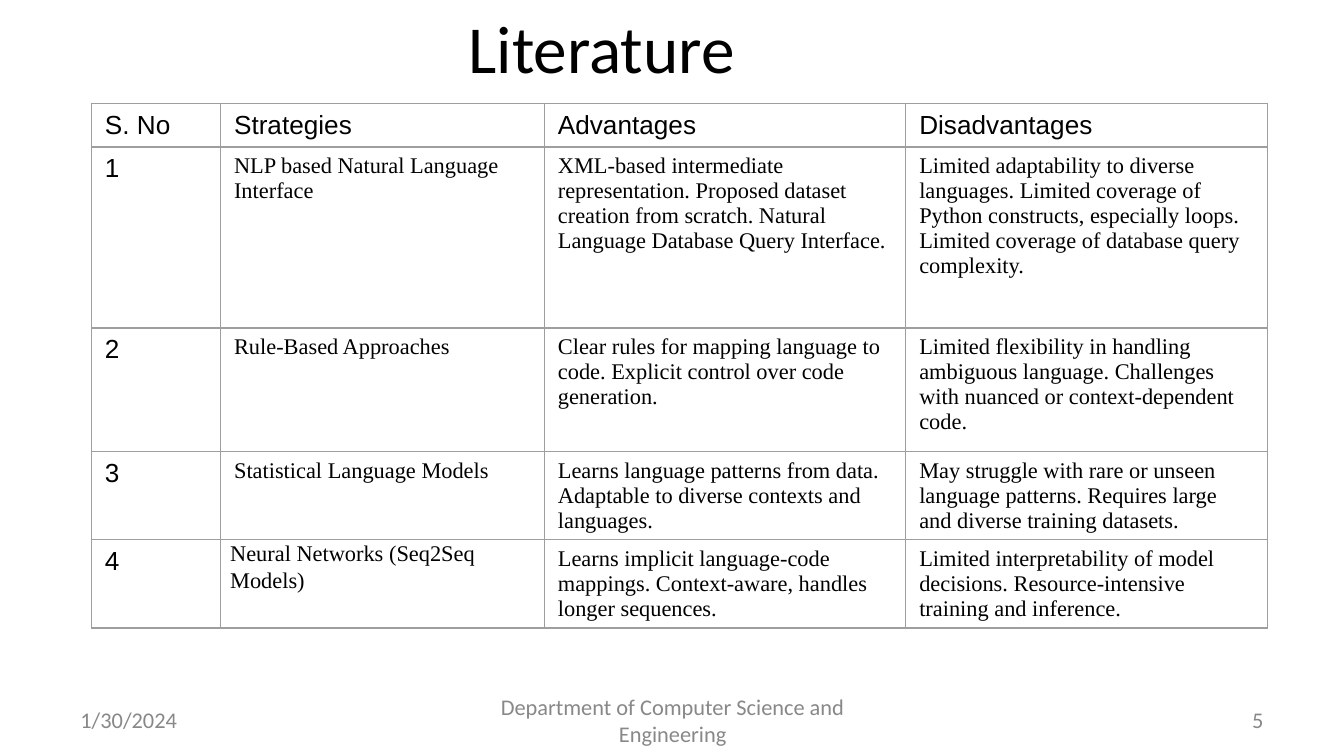
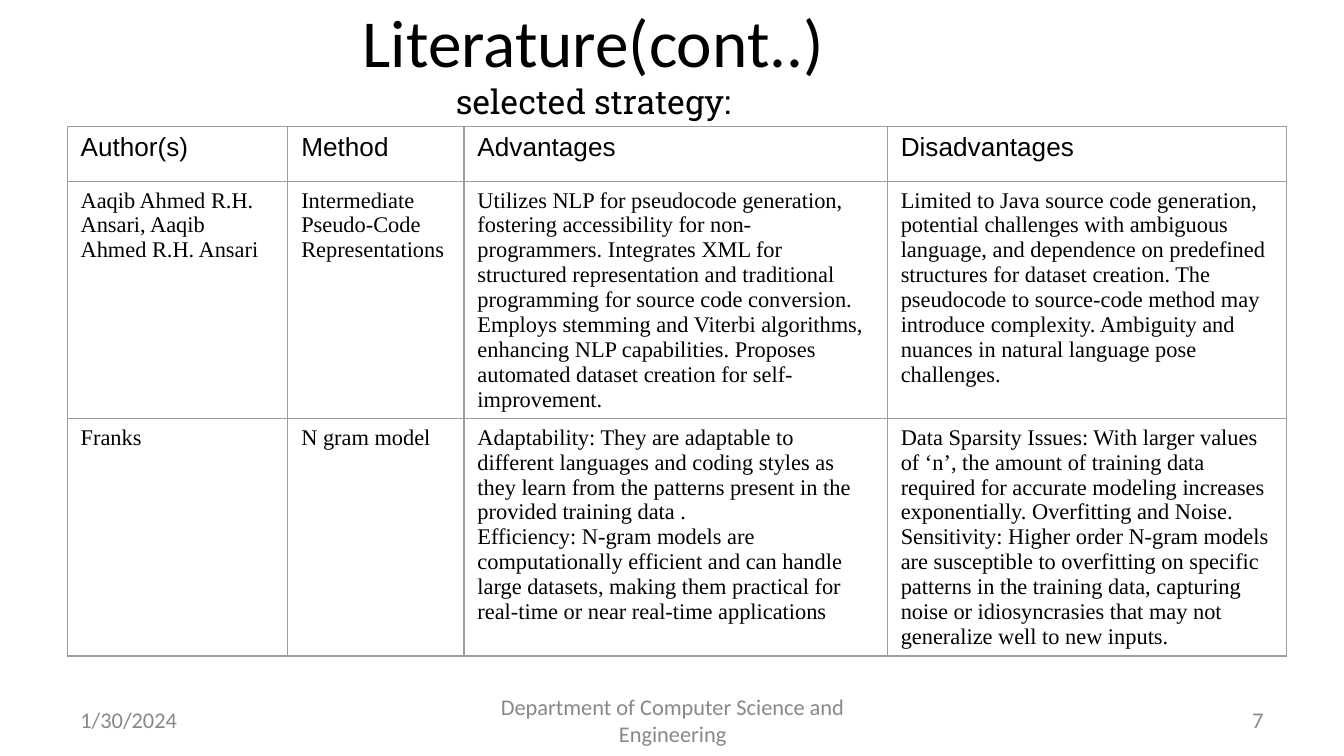
from lxml import etree
from pptx import Presentation
from pptx.dml.color import RGBColor
from pptx.enum import text
from pptx.oxml.ns import qn
from pptx.util import Cm, Pt

BLACK = RGBColor(0x00, 0x00, 0x00)
FOOTER_GREY = RGBColor(0x88, 0x88, 0x88)
BORDER_GREY = RGBColor(0x9E, 0x9E, 0x9E)

TITLE_FONT = ("Calibri", 36, BLACK)
SUBTITLE_FONT = ("Roboto Slab", 18, BLACK)
LABEL_FONT = ("Arial", 14, BLACK)
BODY_FONT = ("Times New Roman", 12, BLACK)
FOOTER_FONT = ("Calibri", 12, FOOTER_GREY)

LEFT, CENTER, RIGHT = text.PP_ALIGN.LEFT, text.PP_ALIGN.CENTER, text.PP_ALIGN.RIGHT
TITLE_SIZE = (16.99, 1.75)
FOOTER_TOP, FOOTER_HEIGHT = 13.23, 0.76
DATE = "1/30/2024"
DEPARTMENT = "Department of Computer Science and Engineering"

# Content: one dict per slide, lengths in cm
SLIDES = [
    {
        "title": "Literature ", "subtitle": None, "title_at": (3.02, 0), "number": "5",
        "table_at": (1.73, 1.96),
        "cols": (2.44, 6.12, 6.83, 6.83),
        "rows": (0.82, 3.42, 2.34, 1.66, 1.66),
        "numbered": True,       # first column holds row numbers
        "tight_cell": (4, 1),   # cell with narrow margins and looser lines
        "cells": [
            ("S. No", "Strategies", "Advantages", "Disadvantages"),
            ("1", "NLP based Natural Language Interface",
             "XML-based intermediate representation. Proposed dataset creation from "
             "scratch. Natural Language Database Query Interface.",
             "Limited adaptability to diverse languages. Limited coverage of Python "
             "constructs, especially loops. Limited coverage of database query complexity."),
            ("2", "Rule-Based Approaches",
             "Clear rules for mapping language to code. Explicit control over code generation.",
             "Limited flexibility in handling ambiguous language. Challenges with nuanced "
             "or context-dependent code."),
            ("3", "Statistical Language Models",
             "Learns language patterns from data. Adaptable to diverse contexts and languages.",
             "May struggle with rare or unseen language patterns. Requires large and diverse "
             "training datasets."),
            ("4", "Neural Networks (Seq2Seq Models)",
             "Learns implicit language-code mappings. Context-aware, handles longer sequences.",
             "Limited interpretability of model decisions. Resource-intensive training and "
             "inference."),
        ],
    },
    {
        "title": "Literature(cont..)", "subtitle": "selected strategy:",
        "title_at": (2.72, 0.28), "number": "7",
        "table_at": (1.27, 2.39),
        "cols": (4.17, 3.33, 8.0, 7.54),
        "rows": (1.04, 4.46, 4.46),
        "numbered": False,
        "tight_cell": None,
        "cells": [
            ("Author(s)", "Method", "Advantages", "Disadvantages"),
            ("Aaqib Ahmed R.H. Ansari, Aaqib Ahmed R.H. Ansari",
             "Intermediate Pseudo-Code Representations",
             "Utilizes NLP for pseudocode generation, fostering accessibility for "
             "non-programmers. Integrates XML for structured representation and traditional "
             "programming for source code conversion. Employs stemming and Viterbi "
             "algorithms, enhancing NLP capabilities. Proposes automated dataset creation "
             "for self-improvement.",
             "Limited to Java source code generation, potential challenges with ambiguous "
             "language, and dependence on predefined structures for dataset creation. The "
             "pseudocode to source-code method may introduce complexity. Ambiguity and "
             "nuances in natural language pose challenges."),
            ("Franks", "N gram model",
             "Adaptability: They are adaptable to different languages and coding styles as "
             "they learn from the patterns present in the provided training data .\n"
             "Efficiency: N-gram models are computationally efficient and can handle large "
             "datasets, making them practical for real-time or near real-time applications",
             "Data Sparsity Issues: With larger values of ‘n’, the amount of training data "
             "required for accurate modeling increases exponentially. Overfitting and Noise.\n"
             "Sensitivity: Higher order N-gram models are susceptible to overfitting on "
             "specific patterns in the training data, capturing noise or idiosyncrasies that "
             "may not generalize well to new inputs."),
        ],
    },
]


def set_font(font, style):
    font.name, size, font.color.rgb = style
    font.size = Pt(size)


def add_title(s, data):
    sp = s.shapes.title
    sp.left, sp.top, sp.width, sp.height = map(Cm, data["title_at"] + TITLE_SIZE)
    tf = sp.text_frame
    tf.auto_size = text.MSO_AUTO_SIZE.NONE
    tf.vertical_anchor = text.MSO_ANCHOR.MIDDLE
    p = tf.paragraphs[0]
    p.alignment = CENTER
    set_font(p.font, TITLE_FONT)
    p.add_run().text = data["title"]
    if data["subtitle"]:
        p.add_line_break()
        r = p.add_run()
        r.text = data["subtitle"]
        set_font(r.font, SUBTITLE_FONT)


def add_footer(s, number):
    for words, left, width, align in (
        (DATE, 1.27, 5.92, LEFT),
        (DEPARTMENT, 8.69, 8.05, CENTER),
        (number, 18.21, 5.92, RIGHT),
    ):
        sp = s.shapes.add_textbox(Cm(left), Cm(FOOTER_TOP), Cm(width), Cm(FOOTER_HEIGHT))
        tf = sp.text_frame
        tf.word_wrap = True
        tf.vertical_anchor = text.MSO_ANCHOR.MIDDLE
        p = tf.paragraphs[0]
        p.text, p.alignment = words, align
        set_font(p.font, FOOTER_FONT)


def add_borders(cell):
    tc_pr = cell._tc.get_or_add_tcPr()
    for i, side in enumerate(("lnL", "lnR", "lnT", "lnB")):
        ln = etree.Element(qn(f"a:{side}"), w=str(Pt(0.75)))
        fill = etree.SubElement(ln, qn("a:solidFill"))
        etree.SubElement(fill, qn("a:srgbClr"), val=str(BORDER_GREY))
        tc_pr.insert(i, ln)  # borders come before the fill


def add_table(s, data):
    cols, rows = data["cols"], data["rows"]
    left, top = data["table_at"]
    table = s.shapes.add_table(len(rows), len(cols), Cm(left), Cm(top),
                               Cm(sum(cols)), Cm(sum(rows))).table
    table.first_row = table.horz_banding = False
    for col, width in zip(table.columns, cols):
        col.width = Cm(width)
    for row, height in zip(table.rows, rows):
        row.height = Cm(height)

    for i, line in enumerate(data["cells"]):
        for j, words in enumerate(line):
            cell = table.cell(i, j)
            cell.text = words
            cell.fill.background()
            add_borders(cell)
            tight = (i, j) == data["tight_cell"]
            if tight:
                cell.margin_left = cell.margin_right = Cm(0.18)
                cell.margin_top = cell.margin_bottom = 0
            is_label = i == 0 or (j == 0 and data["numbered"])
            for p in cell.text_frame.paragraphs:
                set_font(p.font, LABEL_FONT if is_label else BODY_FONT)
                if tight:
                    p.line_spacing, p.space_after = 1.07, Pt(8)


def main():
    prs = Presentation()
    prs.slide_width, prs.slide_height = Cm(25.4), Cm(14.29)
    for data in SLIDES:
        s = prs.slides.add_slide(prs.slide_layouts[5])  # title only
        add_title(s, data)
        add_table(s, data)
        add_footer(s, data["number"])
    prs.save("out.pptx")


if __name__ == "__main__":
    main()
